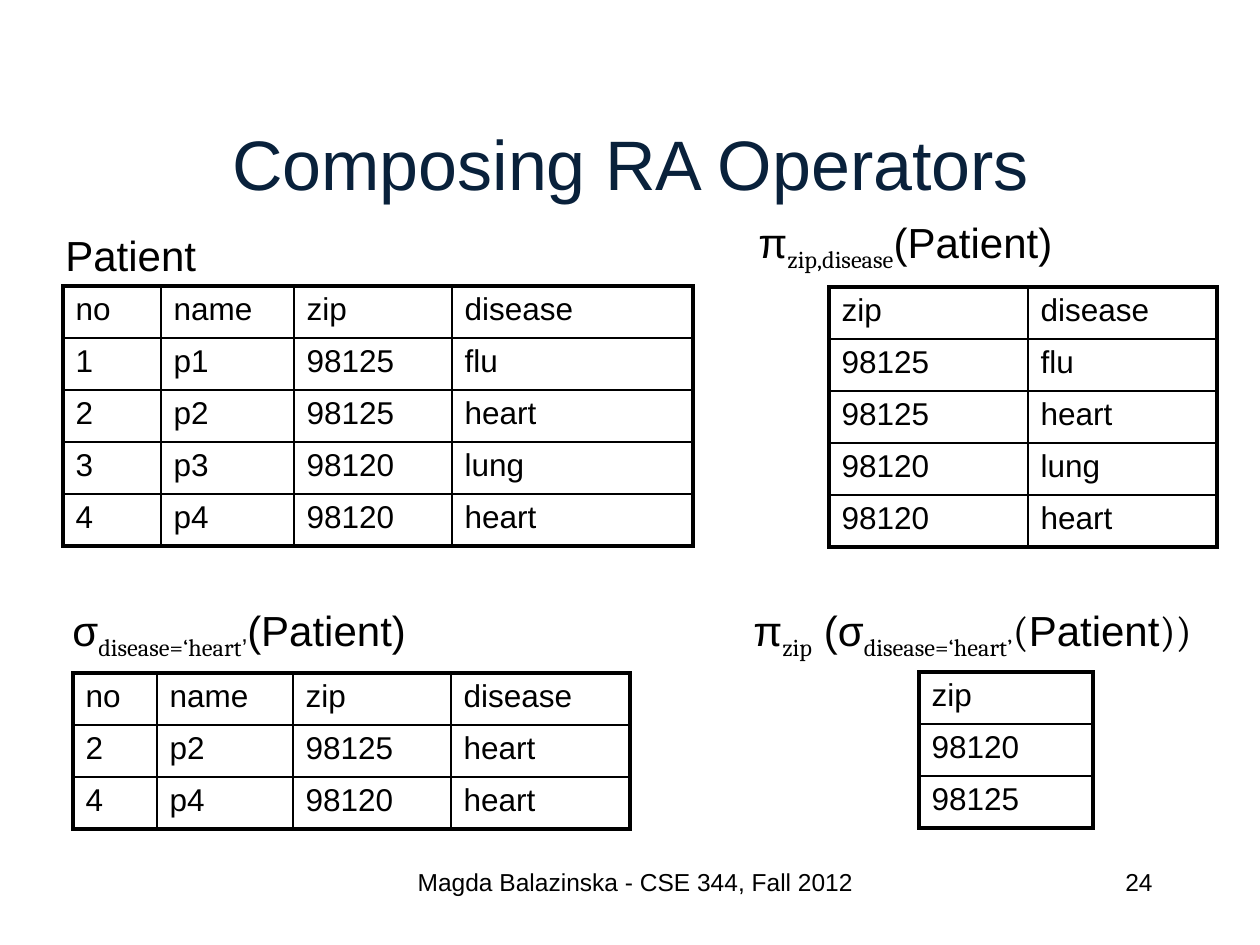
from dataclasses import dataclass

from lxml import etree
from pptx import Presentation
from pptx.dml.color import RGBColor
from pptx.enum.text import MSO_ANCHOR, PP_ALIGN
from pptx.oxml.ns import qn
from pptx.util import Emu, Pt

LEFT, CENTER, RIGHT = PP_ALIGN.LEFT, PP_ALIGN.CENTER, PP_ALIGN.RIGHT
TOP, MIDDLE = MSO_ANCHOR.TOP, MSO_ANCHOR.MIDDLE
PX_PER_INCH = 126


@dataclass(frozen=True)
class Theme:
    sans: str = "Arial"
    serif: str = "Cambria"
    ink: str = "000000"
    navy: str = "09213B"
    title: int = 40
    label: int = 24
    cell: int = 18
    footer: int = 14
    outer_rule: float = 2.25
    inner_rule: float = 1


THEME = Theme()
SANS, SERIF = THEME.sans, THEME.serif
ROW_HEIGHT = 52

# Captions: left, top, width, then runs as (text, font, is subscript)
CAPTIONS = [
    (53, 223, 158, [("Patient", SANS, False)]),
    (60, 598, 381, [("σ", SANS, False), ("disease=‘heart", SERIF, True),
                    ("’", SANS, True), ("(Patient)", SANS, False)]),
    (746, 210, 333, [("π", SANS, False), ("zip,disease", SERIF, True),
                     ("(Patient)", SANS, False)]),
    (741, 598, 481, [("π", SANS, False), ("zip", SERIF, True),
                     (" (σ", SANS, False), ("disease=‘heart’", SERIF, True),
                     ("(", SERIF, False), ("Patient", SANS, False),
                     ("))", SERIF, False)]),
]

# Relations: left, top, column widths, rows
RELATIONS = [
    (63, 286, [98, 133, 158, 241], [
        ("no", "name", "zip", "disease"),
        ("1", "p1", "98125", "flu"),
        ("2", "p2", "98125", "heart"),
        ("3", "p3", "98120", "lung"),
        ("4", "p4", "98120", "heart"),
    ]),
    (73, 673, [84, 136, 158, 179], [
        ("no", "name", "zip", "disease"),
        ("2", "p2", "98125", "heart"),
        ("4", "p4", "98120", "heart"),
    ]),
    (829, 287, [199, 189], [
        ("zip", "disease"),
        ("98125", "flu"),
        ("98125", "heart"),
        ("98120", "lung"),
        ("98120", "heart"),
    ]),
    (919, 672, [174], [("zip",), ("98120",), ("98125",)]),
]


def px(length):
    return Emu(round(length * 914400 / PX_PER_INCH))


def style(run, size, font=SANS, color=THEME.ink):
    run.font.size = Pt(size)
    run.font.name = font
    run.font.color.rgb = RGBColor.from_string(color)


def add_text(slide, box, runs, size, color=THEME.ink, align=LEFT,
             anchor=TOP, wrap=True):
    frame = slide.shapes.add_textbox(*map(px, box)).text_frame
    frame.word_wrap = wrap
    frame.vertical_anchor = anchor
    paragraph = frame.paragraphs[0]
    paragraph.alignment = align
    for text, font, subscript in runs:
        run = paragraph.add_run()
        run.text = text
        style(run, size, font, color)
        if subscript:
            run.font._element.set("baseline", "-25000")


def add_borders(cell, outer_sides):
    """Rule all four sides, heavier where the side is on the table's edge."""
    properties = cell._tc.get_or_add_tcPr()
    for side in "LRTB":
        width = THEME.outer_rule if outer_sides[side] else THEME.inner_rule
        line = etree.SubElement(properties, qn(f"a:ln{side}"), w=str(Pt(width)))
        fill = etree.SubElement(line, qn("a:solidFill"))
        etree.SubElement(fill, qn("a:srgbClr"), val=THEME.ink)


def add_relation(slide, left, top, widths, rows):
    box = (left, top, sum(widths), ROW_HEIGHT * len(rows))
    table = slide.shapes.add_table(len(rows), len(widths), *map(px, box)).table
    table.first_row = table.horz_banding = False
    for column, width in zip(table.columns, widths):
        column.width = px(width)
    for r, values in enumerate(rows):
        table.rows[r].height = px(ROW_HEIGHT)
        for c, value in enumerate(values):
            cell = table.cell(r, c)
            cell.text_frame.text = value
            style(cell.text_frame.paragraphs[0].runs[0], THEME.cell)
            add_borders(cell, {"L": c == 0, "R": c == len(widths) - 1,
                               "T": r == 0, "B": r == len(rows) - 1})
            cell.fill.background()


def main():
    deck = Presentation()
    deck.slide_width, deck.slide_height = px(1260), px(945)
    slide = deck.slides.add_slide(deck.slide_layouts[6])

    add_text(slide, (95, 84, 1071, 158),
             [("Composing RA Operators", SANS, False)],
             THEME.title, THEME.navy, CENTER, MIDDLE)
    for relation in RELATIONS:
        add_relation(slide, *relation)
    for left, top, width, runs in CAPTIONS:
        add_text(slide, (left, top, width, 63), runs, THEME.label, wrap=False)
    add_text(slide, (399, 861, 473, 63),
             [("Magda Balazinska - CSE 344, Fall 2012", SANS, False)],
             THEME.footer, align=CENTER)
    add_text(slide, (903, 861, 262, 63), [("24", SANS, False)],
             THEME.footer, align=RIGHT)

    deck.save("out.pptx")


if __name__ == "__main__":
    main()
